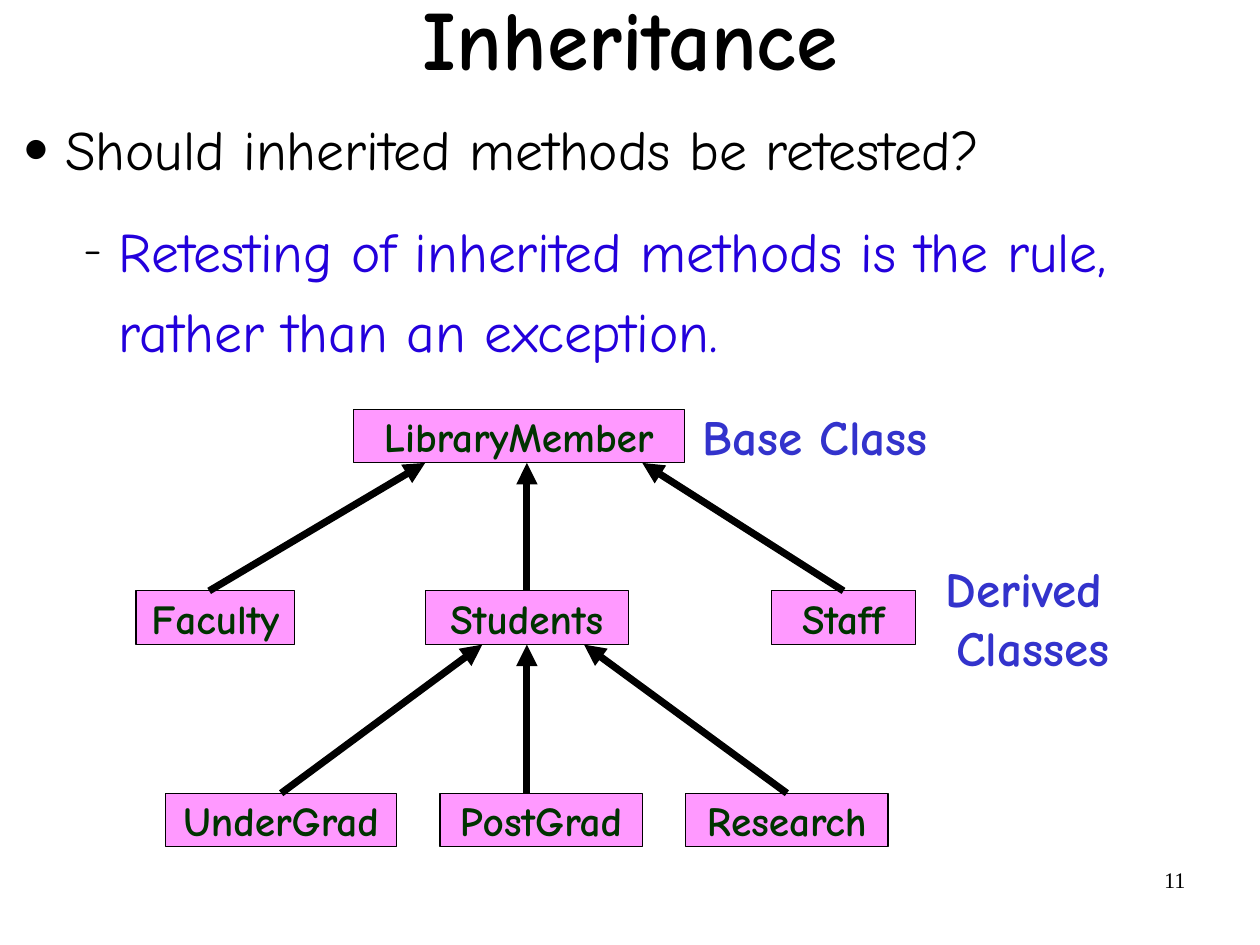
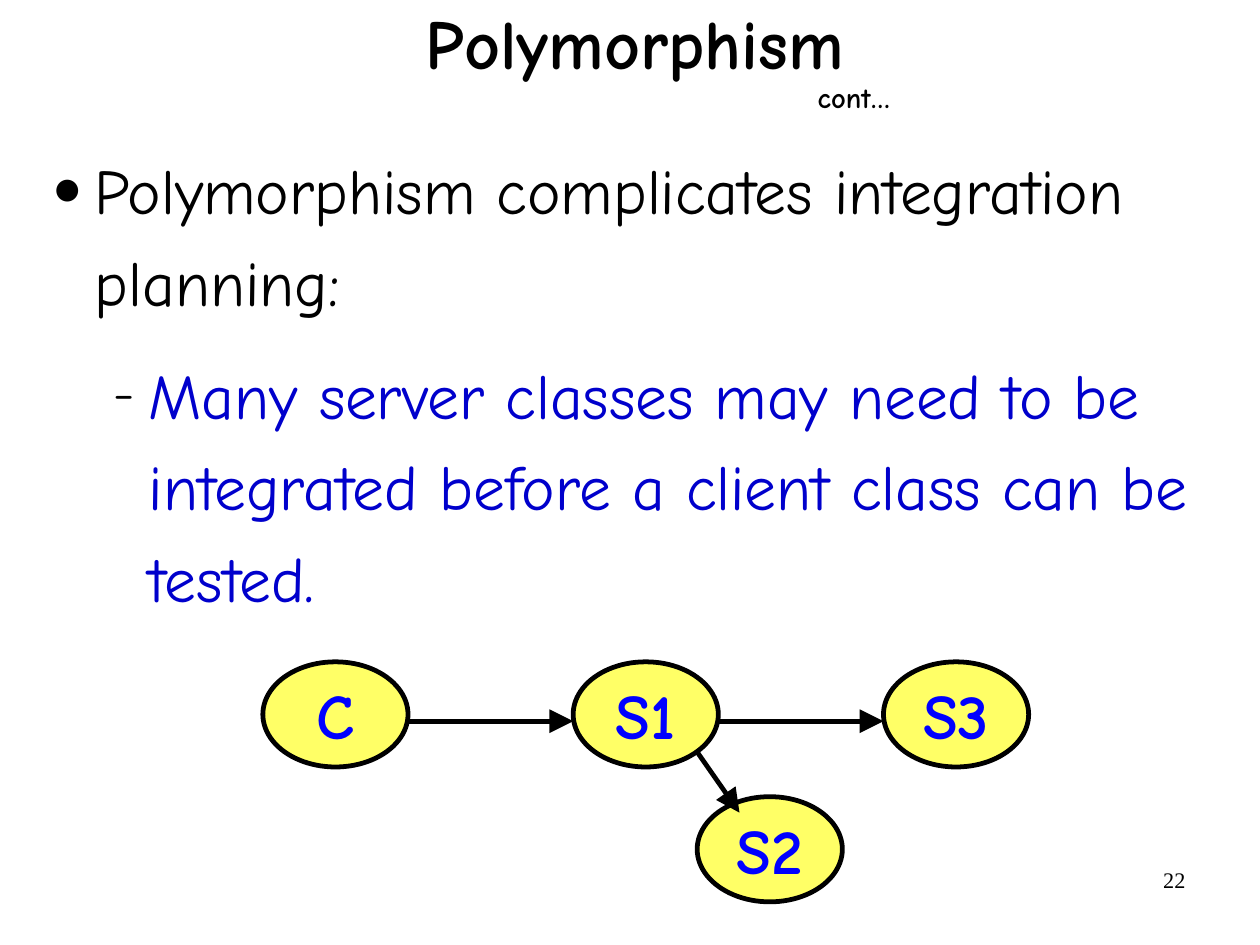
import lxml.etree
import pptx
import pptx.dml.color
import pptx.enum.shapes
import pptx.enum.text
import pptx.oxml.ns
import pptx.util

Inches = pptx.util.Inches
Pt = pptx.util.Pt
SHAPE = pptx.enum.shapes.MSO_SHAPE
ALIGN = pptx.enum.text.PP_ALIGN
MIDDLE = pptx.enum.text.MSO_ANCHOR.MIDDLE
TOP = pptx.enum.text.MSO_ANCHOR.TOP

FONT = "Comic Neue"
SERIF = "Times New Roman"
COLORS = {
    "black": "000000",
    "pink": "FF99FF",
    "green": "003300",
    "label": "3333CC",
    "rule": "2300DC",
    "yellow": "FFFF66",
    "node": "0000FF",
    "point": "0000CC",
}
LEVELS = [
    {"left": 0.46, "hang": 0.35, "after": 13.8, "mark": "●", "scale": 45},
    {"left": 0.93, "hang": 0.31, "after": 10.9, "mark": "−", "scale": 75},
]
BOX_H = 0.47
OVAL_W, OVAL_H = 1.27, 0.92


def color(name):
    return pptx.dml.color.RGBColor.from_string(COLORS[name])


def child(parent, tag, **attrs):
    return lxml.etree.SubElement(parent, pptx.oxml.ns.qn(tag), attrs)


def write(para, text, size, tint="black", bold=False, font=FONT):
    run = para.add_run()
    run.text = text
    run.font.name = font
    run.font.size = Pt(size)
    run.font.bold = bold
    run.font.color.rgb = color(tint)


def set_frame(shape, anchor, pad=(0, 0), wrap=True):
    frame = shape.text_frame
    frame.word_wrap = wrap
    frame.vertical_anchor = anchor
    frame.margin_left = frame.margin_right = Inches(pad[0])
    frame.margin_top = frame.margin_bottom = Inches(pad[1])
    return frame


def add_text(slide, area, anchor=TOP, pad=(0, 0)):
    box = slide.shapes.add_textbox(*map(Inches, area))
    return set_frame(box, anchor, pad)


def add_para(frame, index, align=ALIGN.LEFT, left=0):
    para = frame.add_paragraph() if index else frame.paragraphs[0]
    para.alignment = align
    if left:
        para._p.get_or_add_pPr().set("marL", str(Inches(left)))
    return para


def add_title(slide, area, text, size, spacing, note=None):
    frame = add_text(slide, area, MIDDLE)
    para = add_para(frame, 0, ALIGN.CENTER)
    para.line_spacing = spacing
    write(para, text, size, bold=True)
    if note:
        para = add_para(frame, 1, ALIGN.CENTER, 3.83)
        para.line_spacing = spacing
        write(para, note, 18, bold=True)


def add_body(slide, area, size, items, pad=(0, 0)):
    frame = add_text(slide, area, pad=pad)
    for index, (text, tint) in enumerate(items):
        level = LEVELS[index]
        para = add_para(frame, index, left=level["left"])
        para.level = index
        props = para._p.get_or_add_pPr()
        props.set("indent", str(-Inches(level["hang"])))
        child(child(props, "a:buClr"), "a:srgbClr", val=COLORS["black"])
        child(props, "a:buSzPct", val=str(level["scale"] * 1000))
        child(props, "a:buFont", typeface=FONT)
        child(props, "a:buChar", char=level["mark"])
        para.line_spacing = 1.2
        para.space_after = Pt(level["after"])
        write(para, text, size, tint)


def add_number(slide, number):
    frame = add_text(slide, (7.9, 7.53, 2.57, 0.57), pad=(0.1, 0.05))
    write(add_para(frame, 0, ALIGN.RIGHT), number, 14, font=SERIF)


def add_node(slide, kind, area, fill, line, text, size, tint):
    node = slide.shapes.add_shape(kind, *map(Inches, area))
    node.shadow.inherit = False
    node.fill.solid()
    node.fill.fore_color.rgb = color(fill)
    node.line.color.rgb = color("black")
    node.line.width = Pt(line)
    frame = set_frame(node, MIDDLE, wrap=False)
    write(add_para(frame, 0, ALIGN.CENTER), text, size, tint, True)
    return node


def add_arrow(slide, start, end, width, head="med", source=None, target=None):
    arrow = slide.shapes.add_connector(
        pptx.enum.shapes.MSO_CONNECTOR.STRAIGHT, *map(Inches, start + end)
    )
    arrow.line.color.rgb = color("black")
    arrow.line.width = Pt(width)
    child(arrow.line._get_or_add_ln(), "a:tailEnd",
          type="triangle", w=head, len=head)
    child(arrow._element.spPr, "a:effectLst")
    if source:
        arrow.begin_connect(source, 0)
    if target:
        arrow.end_connect(target, 2)


def add_label(slide, area, lines):
    frame = add_text(slide, area, MIDDLE)
    for index, (text, left) in enumerate(lines):
        para = add_para(frame, index, ALIGN.CENTER, left)
        write(para, text, 31, "label", True)


def build_tree(slide):
    top, mid, low = 3.58, 5.17, 6.94
    boxes = {}
    for name, left, row, width in [
        ("LibraryMember", 3.09, top, 2.9),
        ("Faculty", 1.19, mid, 1.39),
        ("Students", 3.72, mid, 1.78),
        ("Staff", 6.75, mid, 1.26),
        ("UnderGrad", 1.45, low, 2.02),
        ("PostGrad", 3.85, low, 1.77),
        ("Research", 6, low, 1.77),
    ]:
        boxes[name] = add_node(
            slide, SHAPE.RECTANGLE, (left, row, width, BOX_H),
            "pink", 0.75, name, 26, "green",
        )
    for start, end, row, base, source, target in [
        (1.83, 3.72, mid, top, None, None),
        (4.61, 4.61, mid, top, "Students", None),
        (7.38, 5.62, mid, top, "Staff", None),
        (2.46, 4.22, low, mid, "UnderGrad", None),
        (4.61, 4.61, low, mid, None, "Students"),
        (6.88, 5.11, low, mid, "Research", None),
    ]:
        add_arrow(slide, (start, row), (end, base + BOX_H), 4.5, "med",
                  boxes.get(source), boxes.get(target))
    add_label(slide, (6.03, top, 2.2, BOX_H), [("Base Class", 0)])
    add_label(slide, (7.86, mid, 2.2, BOX_H),
              [("Derived", 0), ("Classes", 0.15)])


def build_graph(slide):
    row, step, first = 5.79, 2.715, 2.3
    spots = [(name, first + step * index, row)
             for index, name in enumerate(["C", "S1", "S3"])]
    for name, left, top in spots + [("S2", 6.1, 6.97)]:
        add_node(slide, SHAPE.OVAL, (left, top, OVAL_W, OVAL_H),
                 "yellow", 3, name, 40, "node")
    for index in range(2):
        left = first + step * index
        add_arrow(slide, (left + OVAL_W, 6.31), (left + step, 6.31), 3, "lg")
    add_arrow(slide, (6.1, 6.58), (6.47, 7.11), 3, "lg")


def main():
    deck = pptx.Presentation()
    deck.slide_width = Inches(28 / 2.54)
    deck.slide_height = Inches(21 / 2.54)
    blank = deck.slide_layouts[6]

    slide = deck.slides.add_slide(blank)
    add_title(slide, (0.83, -0.18, 9.37, 1.1), "Inheritance", 53, 0.94)
    add_body(slide, (0, 0.83, 11.02, 2.6), 35, [
        ("Should inherited methods be retested?", "black"),
        ("Retesting of inherited methods is the rule, "
         "rather than an exception.", "rule"),
    ], (0.11, 0.06))
    build_tree(slide)
    add_number(slide, "11")

    slide = deck.slides.add_slide(blank)
    add_title(slide, (0.73, 0, 9.65, 1.09), "Polymorphism", 44, 0.88, "cont…")
    add_body(slide, (0.37, 1.19, 10.38, 4.5), 40, [
        ("Polymorphism complicates integration planning:", "black"),
        ("Many server classes may need to be integrated "
         "before a client class can be tested.", "point"),
    ])
    build_graph(slide)
    add_number(slide, "22")

    deck.save("out.pptx")


if __name__ == "__main__":
    main()
